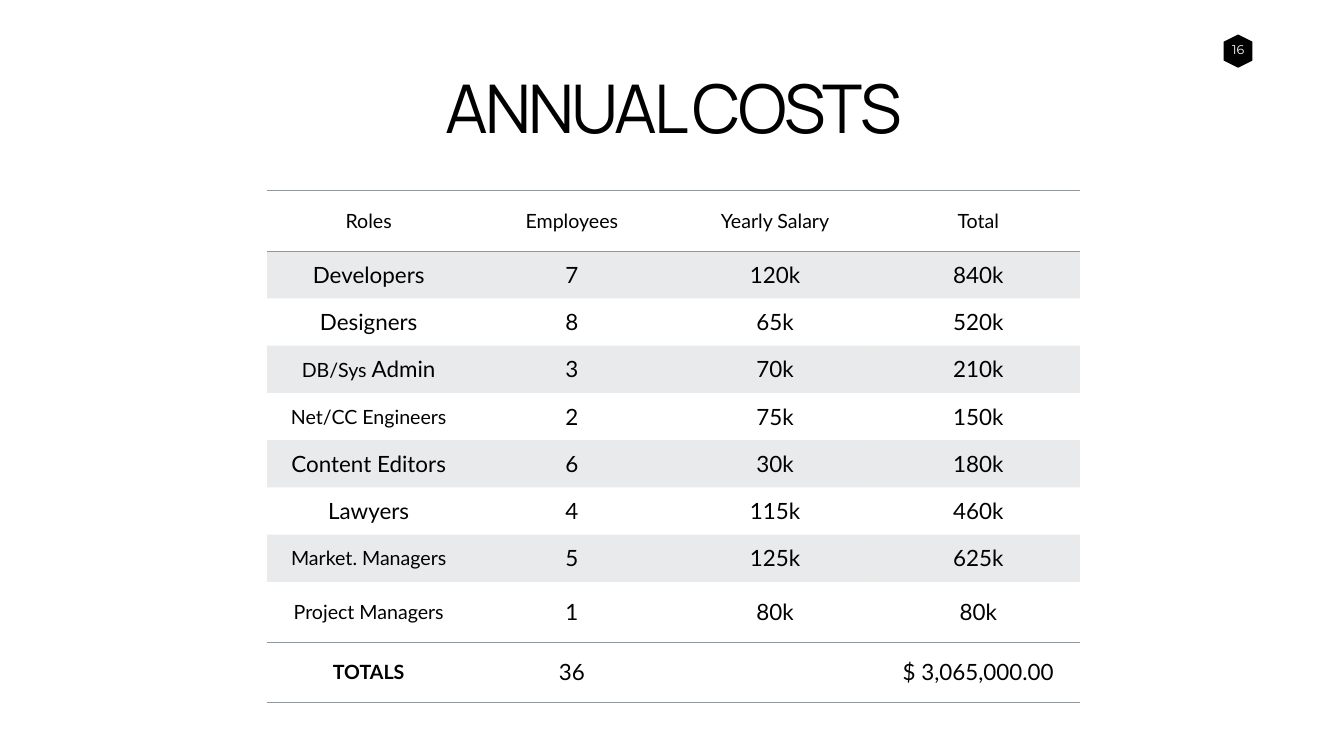
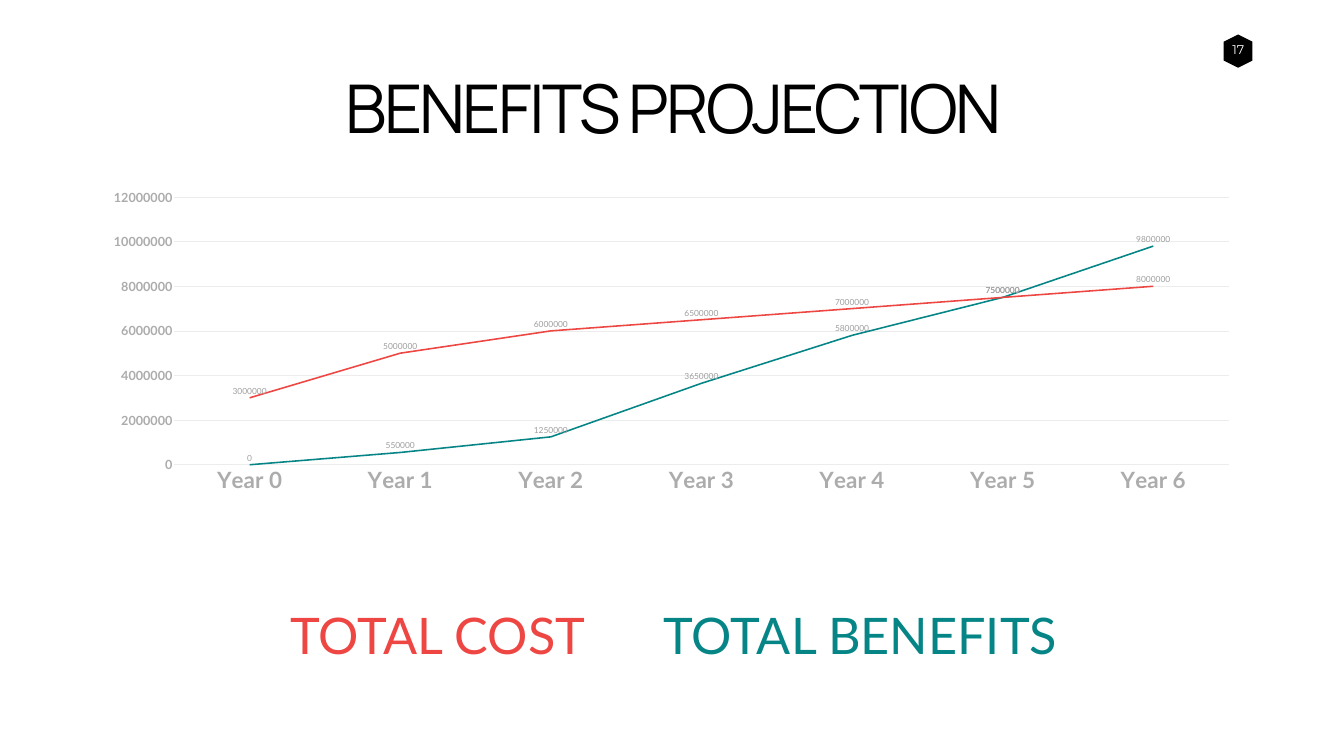
"""Build the annual costs table and the benefits projection chart."""
from lxml import etree
from pptx import Presentation
from pptx.chart.data import CategoryChartData
from pptx.dml.color import RGBColor
from pptx.enum.chart import XL_CHART_TYPE, XL_LABEL_POSITION, XL_MARKER_STYLE, XL_TICK_MARK
from pptx.enum.shapes import MSO_SHAPE
from pptx.enum.text import MSO_ANCHOR, MSO_AUTO_SIZE, PP_ALIGN
from pptx.oxml import parse_xml
from pptx.oxml.ns import nsdecls, qn
from pptx.util import Pt

LINE = XL_CHART_TYPE.LINE
ABOVE = XL_LABEL_POSITION.ABOVE
NO_MARKER = XL_MARKER_STYLE.NONE
NO_TICK = XL_TICK_MARK.NONE
HEXAGON = MSO_SHAPE.HEXAGON
TOP, MIDDLE = MSO_ANCHOR.TOP, MSO_ANCHOR.MIDDLE
GROW = MSO_AUTO_SIZE.SHAPE_TO_FIT_TEXT
LEFT, CENTER, RIGHT = PP_ALIGN.LEFT, PP_ALIGN.CENTER, PP_ALIGN.RIGHT

COLORS = {
    "black": "000000", "white": "FFFFFF", "gray": "91969B",
    "axis": "ACACAC", "grid": "ECECEC", "label": "9F9F9F", "chart": "7F7F7F",
    "benefits": "068587", "cost": "EE4642",
}
BODY, TITLE, NUMBER = "Lato", "Manrope", "Montserrat"
NO_STYLE = "{2D5ABB26-0587-4C30-8999-92F81FD0307C}"


def style(font, size, color, name=BODY, bold=False):
    font.size, font.name, font.bold = Pt(size), name, bold
    font.color.rgb = RGBColor.from_string(COLORS[color])


def add_slide(title, number, left, width):
    s = prs.slides.add_slide(prs.slide_layouts[5])
    sp = s.shapes.add_shape(HEXAGON, Pt(1744.5), Pt(52.5), Pt(47.5), Pt(41))
    sp.rotation = 270
    sp.shadow.inherit = False
    sp.fill.solid()
    sp.fill.fore_color.rgb = RGBColor.from_string(COLORS["black"])
    sp.line.fill.background()

    tf = s.shapes.add_textbox(Pt(1737.5), Pt(52.5), Pt(62), Pt(36)).text_frame
    tf.margin_left = tf.margin_right = Pt(14.4)
    tf.margin_top = tf.margin_bottom = Pt(7.2)
    tf.word_wrap = False
    p = tf.paragraphs[0]
    p.text = str(number)
    p.alignment = CENTER
    style(p.runs[0].font, 18, "white", NUMBER)

    sp = s.shapes.title
    sp.left, sp.top, sp.width, sp.height = Pt(left), Pt(99.4), Pt(width), Pt(123.8)
    tf = sp.text_frame
    tf.text = title
    tf.word_wrap = False
    tf.auto_size = GROW
    tf.vertical_anchor = TOP
    p = tf.paragraphs[0]
    p.alignment = CENTER
    p.line_spacing = 0.95
    r = p.runs[0]
    style(r.font, 96, "black", TITLE)
    r.font._element.set("spc", "-400")
    return s


prs = Presentation()
prs.slide_width, prs.slide_height = Pt(1919.5), Pt(1080)

s = add_slide("ANNUAL COSTS", 16, 579, 766)
rows = [
    ("Roles", "Employees", "Yearly Salary", "Total"),
    ("Developers", "7", "120k", "840k"),
    ("Designers", "8", "65k", "520k"),
    ("DB/Sys", "3", "70k", "210k"),
    ("Net/CC Engineers", "2", "75k", "150k"),
    ("Content Editors", "6", "30k", "180k"),
    ("Lawyers", "4", "115k", "460k"),
    ("Market. Managers", "5", "125k", "625k"),
    ("Project Managers", "1", "80k", "80k"),
    ("TOTALS", "36", "", "$ 3,065,000.00"),
]
heights = [86.7] + [67.5] * 7 + [86] * 2
small = {*rows[0], "DB/Sys", "Net/CC Engineers", "Market. Managers", "Project Managers", "TOTALS"}
last = len(rows) - 1

frame = s.shapes.add_table(len(rows), 4, Pt(381.5), Pt(272), Pt(1160.8), Pt(sum(heights)))
table = frame.table
table.first_row = table.horz_banding = False
table._tbl.tblPr.find(qn("a:tableStyleId")).text = NO_STYLE
for col in table.columns:
    col.width = Pt(290.2)
for i, (row, height) in enumerate(zip(rows, heights)):
    table.rows[i].height = Pt(height)
    for j, text in enumerate(row):
        cell = table.cell(i, j)
        cell.vertical_anchor = MIDDLE
        cell.margin_left = cell.margin_right = cell.margin_top = cell.margin_bottom = Pt(3.6)
        p = cell.text_frame.paragraphs[0]
        p.text = text
        p.alignment = CENTER
        for font in [r.font for r in p.runs] or [p.font]:
            style(font, 28 if text in small else 32, "black", bold=text == "TOTALS")
        if i in (0, last):
            for side in ("lnT", "lnB"):
                cell._tc.get_or_add_tcPr().append(parse_xml(
                    f'<a:{side} {nsdecls("a")} w="12700"><a:solidFill>'
                    f'<a:srgbClr val="{COLORS["gray"]}"/></a:solidFill></a:{side}>'))
        if i % 2 and i < last:
            cell.fill.solid()
            cell.fill.fore_color.rgb = RGBColor.from_string(COLORS["gray"])
            clr = cell._tc.tcPr.find(".//" + qn("a:srgbClr"))
            etree.SubElement(clr, qn("a:alpha")).set("val", "20000")
        else:
            cell.fill.background()
r = table.cell(3, 0).text_frame.paragraphs[0].add_run()
r.text = " Admin"
style(r.font, 32, "black")

s = add_slide("BENEFITS PROJECTION", 17, 414.7, 1095)
data = CategoryChartData(number_format="General")
data.categories = [f"Year {n}" for n in range(7)]
data.add_series("Series 1", (0, 550000, 1250000, 3650000, 5800000, 7500000, 9800000))
data.add_series("Series 2", (3000000, 5000000, 6000000, 6500000, 7000000, 7500000, 8000000))
chart = s.shapes.add_chart(LINE, Pt(133.2), Pt(263.5), Pt(1654.6), Pt(450), data).chart
chart.has_legend = chart.has_title = False
style(chart.font, 10, "chart")
plot = chart.plots[0]
plot.vary_by_categories = False

axes = chart.category_axis, chart.value_axis
for axis, size in zip(axes, (32, 18)):
    axis.major_tick_mark = axis.minor_tick_mark = NO_TICK
    style(axis.tick_labels.font, size, "axis", bold=True)
cat, val = axes
val.minimum_scale, val.maximum_scale, val.major_unit = 0, 12000000, 2000000
val.has_major_gridlines = True
val.format.line.fill.background()
for line in (cat.format.line, val.major_gridlines.format.line):
    line.color.rgb = RGBColor.from_string(COLORS["grid"])
    line.width = Pt(0.75)

for series, color in zip(plot.series, ("benefits", "cost")):
    series.smooth = False
    series.marker.style = NO_MARKER
    series.format.line.color.rgb = RGBColor.from_string(COLORS[color])
    series.format.line.width = Pt(2.25)
    labels = series.data_labels
    labels.show_value = True
    labels.position = ABOVE
    style(labels.font, 12, "label")

area = chart._chartSpace.chart.plotArea
for layout in area.findall(qn("c:layout")):
    area.remove(layout)
area.insert(0, parse_xml(
    f'<c:layout {nsdecls("c")}><c:manualLayout><c:layoutTarget val="inner"/>'
    '<c:xMode val="edge"/><c:yMode val="edge"/><c:x val="0.07"/><c:y val="0.04"/>'
    '<c:w val="0.91"/><c:h val="0.85"/></c:manualLayout></c:layout>'))

legend = [
    ("TOTAL COST", "cost", 414.7, 428.4, LEFT),
    ("TOTAL BENEFITS", "benefits", 917.3, 592.6, RIGHT),
]
for text, color, left, width, align in legend:
    tf = s.shapes.add_textbox(Pt(left), Pt(863.3), Pt(width), Pt(86.4)).text_frame
    tf.margin_left = tf.margin_right = tf.margin_top = tf.margin_bottom = 0
    tf.word_wrap = True
    p = tf.paragraphs[0]
    p.text = text
    p.alignment = align
    style(p.runs[0].font, 72, color)

prs.save("out.pptx")
